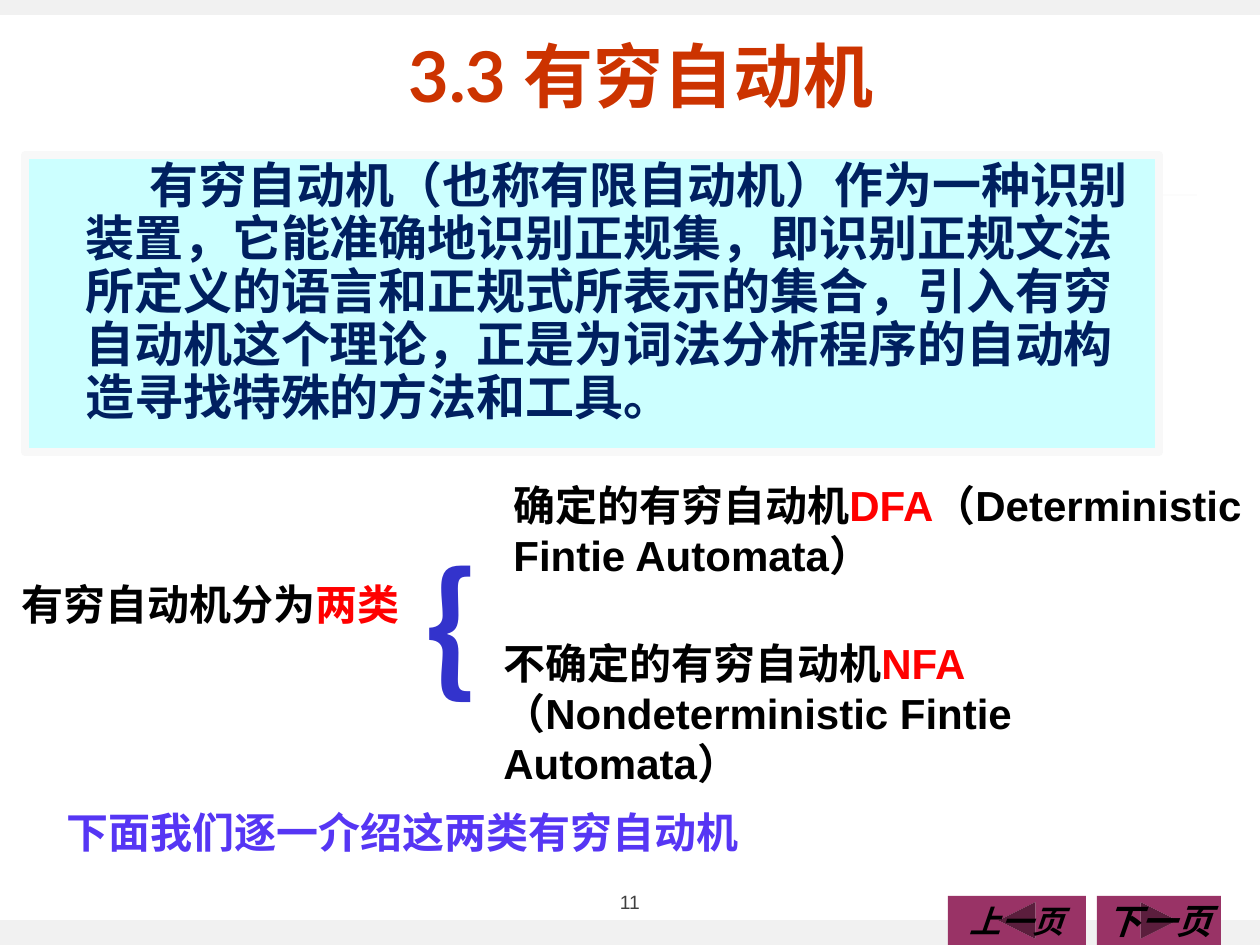
from pptx import Presentation
from pptx.dml.color import RGBColor
from pptx.enum.shapes import MSO_SHAPE
from pptx.enum.text import MSO_ANCHOR, PP_ALIGN
from pptx.util import Pt

EMU_PER_PX = 7257.143
WHITE_SMOKE = RGBColor(0xF8, 0xF8, 0xF8)
BAR_START = RGBColor(0xF1, 0xF1, 0xF1)
BAR_END = RGBColor(0xEE, 0xEE, 0xEE)
RULE_START = RGBColor(0xF9, 0xF9, 0xF9)
RULE_END = RGBColor(0xFC, 0xFC, 0xFC)
RUST = RGBColor(0xCC, 0x33, 0x00)
PALE_CYAN = RGBColor(0xCC, 0xFF, 0xFF)
NAVY = RGBColor(0x00, 0x20, 0x60)
BLACK = RGBColor(0x00, 0x00, 0x00)
RED = RGBColor(0xFF, 0x00, 0x00)
BLUE = RGBColor(0x33, 0x33, 0xCC)
VIOLET = RGBColor(0x56, 0x36, 0xF4)
GREY = RGBColor(0x40, 0x40, 0x40)
PLUM = RGBColor(0x99, 0x33, 0x66)

BODY = {"name": "Arial", "size": Pt(24), "bold": True}
TITLE = {"name": "Lato", "size": Pt(40), "bold": True}
INTRO = {"name": "Lato", "size": Pt(28), "bold": True}
BRACE = {"name": "Noto Sans CJK SC", "size": Pt(80), "bold": True}
PAGE = {"name": "Arial", "size": Pt(11), "bold": False}
CENTERED = {"alignment": PP_ALIGN.CENTER}
MIDDLE = {"vertical_anchor": MSO_ANCHOR.MIDDLE}


def px(length):
    """Turn pixels into EMU."""
    return round(length * EMU_PER_PX)


def apply(target, values):
    """Set every format value on the target."""
    for key, value in values.items():
        setattr(target, key, value)


def write(holder, runs, font, paragraph_format=None, frame_format=None):
    """Write coloured runs as the one paragraph of a shape."""
    frame = holder.text_frame
    apply(frame, {"word_wrap": True, "vertical_anchor": MSO_ANCHOR.TOP,
                  **(frame_format or {})})
    paragraph = frame.paragraphs[0]
    apply(paragraph, {"alignment": PP_ALIGN.LEFT, **(paragraph_format or {})})
    for wording, color in runs:
        run = paragraph.add_run()
        run.text = wording
        apply(run.font, font)
        run.font.color.rgb = color


def add_label(slide, box, runs, font, paragraph_format=None, frame_format=None):
    """Add a text box with coloured runs."""
    label = slide.shapes.add_textbox(*map(px, box))
    write(label, runs, font, paragraph_format, frame_format)


def add_panel(slide, preset, box, fill):
    """Add a flat preset shape without outline."""
    panel = slide.shapes.add_shape(preset, *map(px, box))
    panel.shadow.inherit = False
    panel.fill.solid()
    panel.fill.fore_color.rgb = fill
    panel.line.fill.background()
    return panel


def add_band(slide, box, start, end):
    """Add a horizontal band that fades from start to end."""
    band = add_panel(slide, MSO_SHAPE.RECTANGLE, box, start)
    band.fill.gradient()
    band.fill.gradient_angle = 0
    for stop, color in zip(band.fill.gradient_stops, (start, end)):
        stop.color.rgb = color


def add_intro(slide, wording):
    """Add the framed introduction with an indented first line."""
    intro = add_panel(slide, MSO_SHAPE.RECTANGLE, (25, 155, 1134, 297), PALE_CYAN)
    intro.line.color.rgb = WHITE_SMOKE
    intro.line.width = Pt(4.5)
    write(intro, [(wording, NAVY)], INTRO, {"line_spacing": 0.9})
    properties = intro.text_frame.paragraphs[0]._p.get_or_add_pPr()
    properties.set("marL", str(px(48)))
    properties.set("indent", str(px(64)))


def add_button(slide, preset, box, wording, size):
    """Add a navigation button with its label."""
    button = add_panel(slide, preset, box, PLUM)
    write(button, [(wording, BLACK)], {**BODY, "size": Pt(size), "italic": True},
          CENTERED, {**MIDDLE, "word_wrap": False})


def main():
    """Build the slide and save it."""
    deck = Presentation()
    apply(deck, {"slide_width": px(1260), "slide_height": px(945)})
    slide = deck.slides.add_slide(deck.slide_layouts[6])

    add_band(slide, (0, 920, 1260, 25), BAR_START, BAR_END)
    add_band(slide, (0, 0, 1260, 15), BAR_START, BAR_END)
    add_band(slide, (63, 194, 1134, 2), RULE_START, RULE_END)

    add_label(slide, (74, 26, 1134, 97), [("3.3 有穷自动机", RUST)], TITLE,
              CENTERED, MIDDLE)
    add_intro(slide, "有穷自动机（也称有限自动机）作为一种识别装置，它能准确地识别正规集，"
                     "即识别正规文法所定义的语言和正规式所表示的集合，引入有穷自动机这个理论，"
                     "正是为词法分析程序的自动构造寻找特殊的方法和工具。")
    add_label(slide, (567, 882, 126, 39), [("11", GREY)], PAGE, CENTERED, MIDDLE)

    add_label(slide, (9, 572, 1092, 63),
              [("有穷自动机分为", BLACK), ("两类", RED)], BODY)
    add_label(slide, (412, 532, 71, 140), [("{", BLUE)], BRACE,
              frame_format={"word_wrap": False})
    kinds = [
        ((501, 473, 759, 113), "确定的有穷自动机", "DFA",
         "（Deterministic Fintie Automata）"),
        ((491, 631, 769, 164), "不确定的有穷自动机", "NFA",
         "（Nondeterministic Fintie Automata）"),
    ]
    for box, kind, acronym, english in kinds:
        add_label(slide, box,
                  [(kind, BLACK), (acronym, RED), (english, BLACK)], BODY)
    add_label(slide, (54, 800, 1002, 63),
              [("下面我们逐一介绍这两类有穷自动机", VIOLET)], BODY)

    add_button(slide, MSO_SHAPE.ACTION_BUTTON_BACK_OR_PREVIOUS,
               (948, 896, 138, 49), "上一页", 18)
    add_button(slide, MSO_SHAPE.ACTION_BUTTON_FORWARD_OR_NEXT,
               (1097, 896, 124, 49), "下一页", 20)
    deck.save("out.pptx")


if __name__ == "__main__":
    main()
